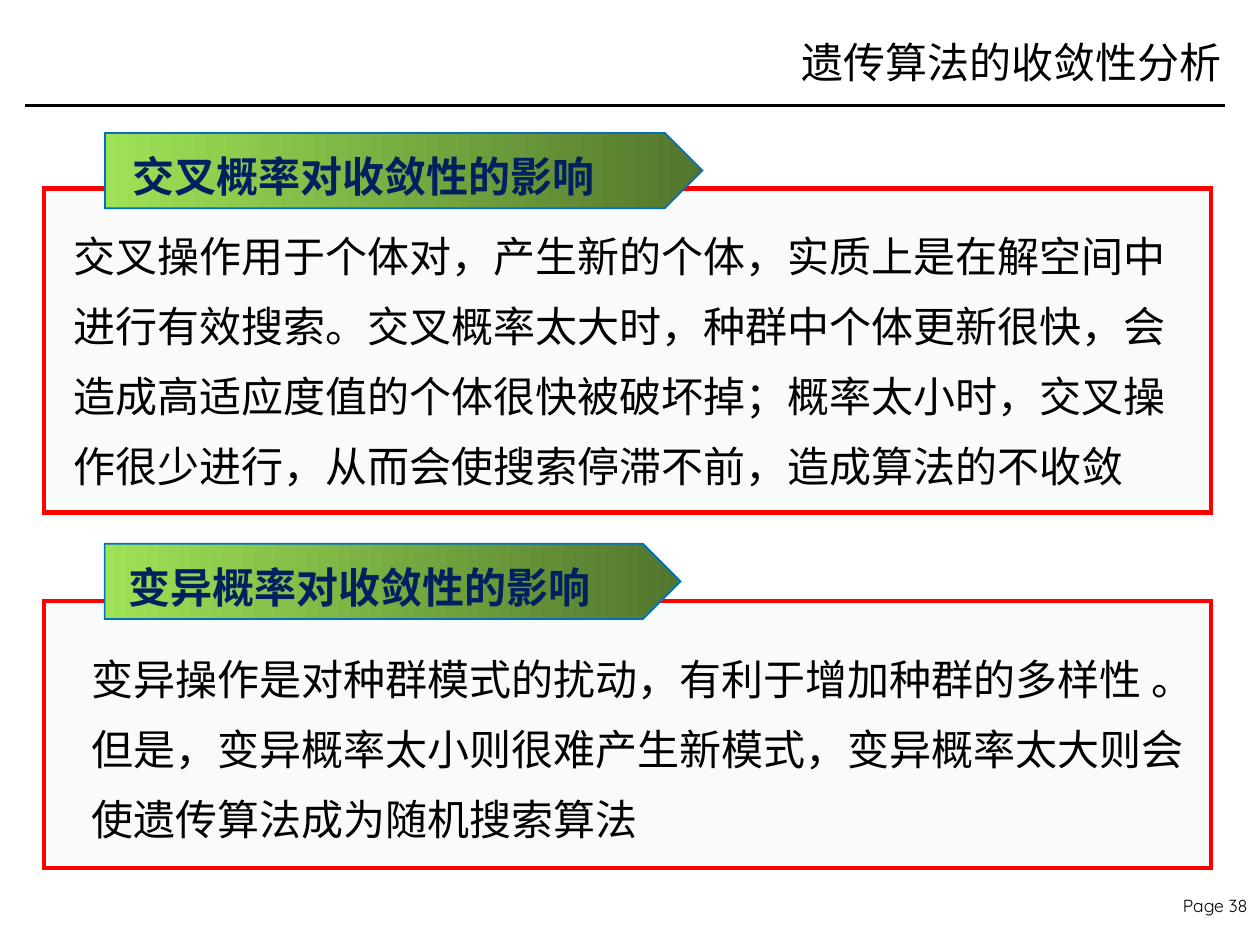
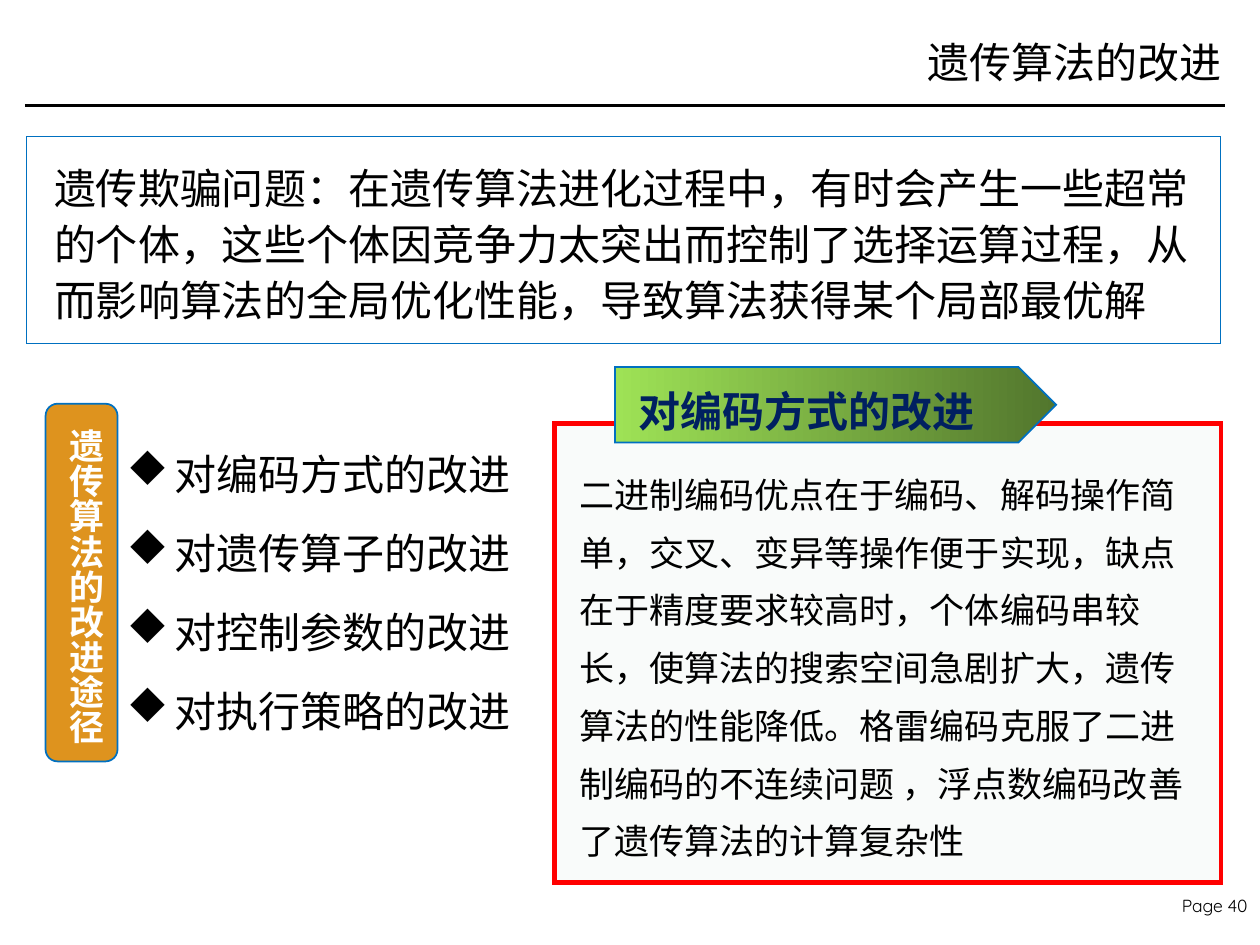
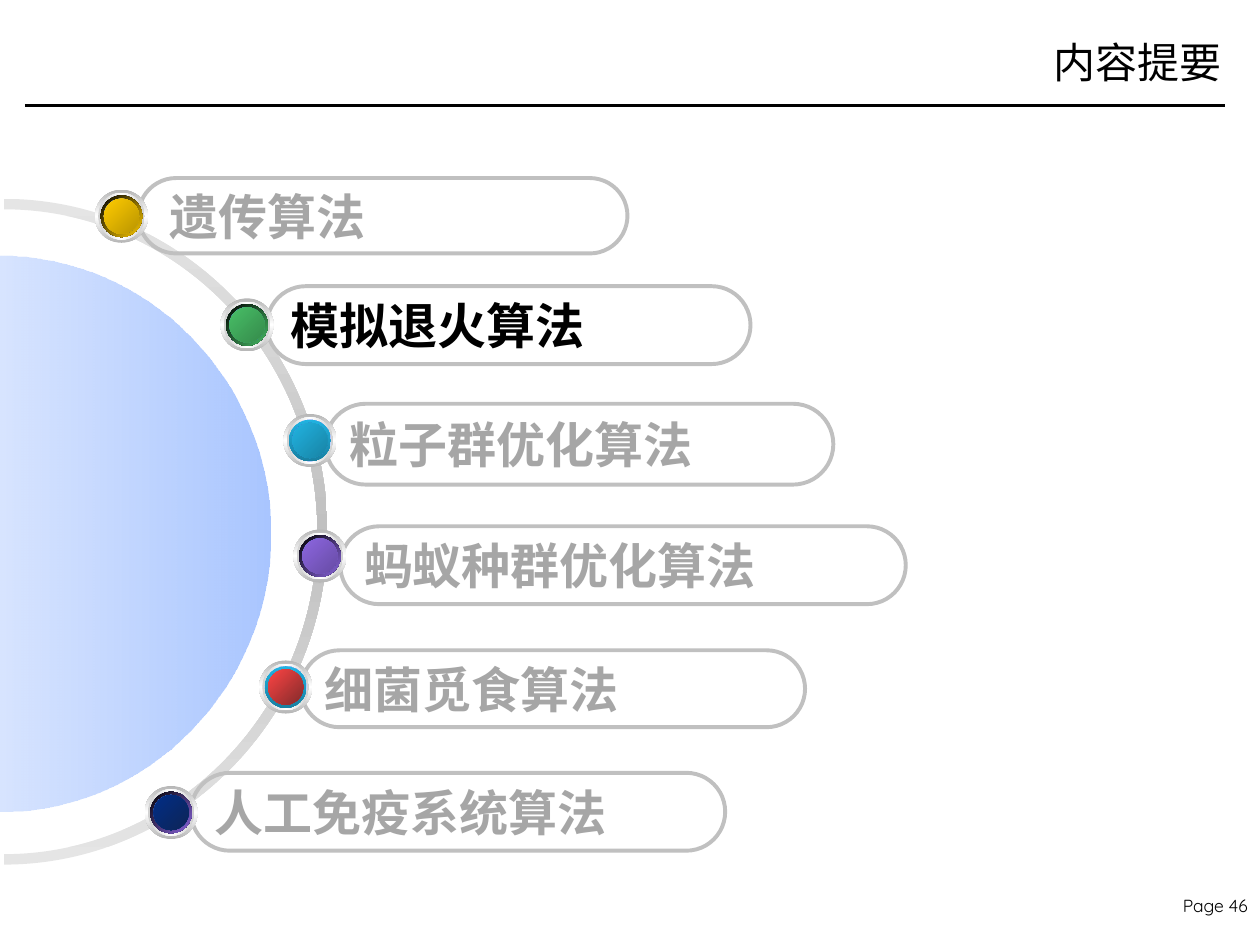
"""Build three slides on genetic algorithms and the topics that follow them."""
from dataclasses import dataclass

from lxml.etree import SubElement
from pptx import Presentation
from pptx.dml.color import RGBColor
from pptx.enum.shapes import MSO_CONNECTOR, MSO_SHAPE as SHAPE
from pptx.enum.text import MSO_ANCHOR as ANCHOR, PP_ALIGN as ALIGN
from pptx.oxml.ns import qn
from pptx.util import Cm, Pt

BLACK, WHITE, RED, BLUE = "000000", "FFFFFF", "FF0000", "0070C0"
NAVY, SILVER, GRAY, PALE, ORANGE = "002060", "C0C0C0", "A6A6A6", "F9FBFA", "DE931E"
SERIF, CJK = "Times New Roman", "Noto Sans CJK SC"
TITLE_RIGHT = 24.87
BEZIER = 0.55
ARC_POINTS = 7


@dataclass(frozen=True)
class Gradient:
    colors: tuple[str, ...]
    angle: int = 0
    alphas: tuple[int, ...] = ()


@dataclass(frozen=True)
class Box:
    left: float
    top: float
    width: float
    height: float

    def lengths(self) -> tuple:
        return Cm(self.left), Cm(self.top), Cm(self.width), Cm(self.height)


@dataclass(frozen=True)
class Panel:
    frame: Box
    banner: Box
    label: Box
    heading: str
    body_box: Box
    body: str
    size: int = 24
    spacing: int = 40


@dataclass(frozen=True)
class Topic:
    name: str
    pill: Box
    dot: tuple[float, float]
    rim: Gradient
    core: tuple[str, str]
    color: str = GRAY
    inset: float = 0.25


BANNER = Gradient(("9EE256", "52762D"))
RING = Gradient(("E5E5E5", SILVER, "E5E5E5"), 90)
DISC = Gradient(("B3CCFF", "6699FF"), 0, (52, 56))
CYAN_RIM = Gradient(("21B3E1", "1880A1"), 90)


def dark_rim(color: str) -> Gradient:
    return Gradient((BLACK, color), 45)


def rgb(color: str) -> RGBColor:
    return RGBColor.from_string(color)


def paint(sp, fill=None, line=None, weight=1.0) -> None:
    """Set a shape's fill (none, colour or gradient) and outline, without shadow."""
    sp.shadow.inherit = False
    if fill is None:
        sp.fill.background()
    elif isinstance(fill, str):
        sp.fill.solid()
        sp.fill.fore_color.rgb = rgb(fill)
    else:
        sp.fill.gradient()
        grad = sp._element.spPr.find(qn("a:gradFill"))
        stops = grad.find(qn("a:gsLst"))
        for old in list(stops):
            stops.remove(old)
        for i, color in enumerate(fill.colors):
            pos = 100000 * i // (len(fill.colors) - 1)
            stop = SubElement(stops, qn("a:gs"), pos=str(pos))
            clr = SubElement(stop, qn("a:srgbClr"), val=color)
            if fill.alphas:
                SubElement(clr, qn("a:alpha"), val=str(fill.alphas[i] * 1000))
        grad.find(qn("a:lin")).set("ang", str(fill.angle * 60000))
    if line is None:
        sp.line.fill.background()
    else:
        sp.line.color.rgb = rgb(line)
        sp.line.width = Pt(weight)
        SubElement(sp._element.spPr.find(qn("a:ln")), qn("a:miter"), lim="800000")


def add_shape(shapes, kind, box: Box, fill=None, line=None, weight=1.0):
    sp = shapes.add_shape(kind, *box.lengths())
    paint(sp, fill, line, weight)
    return sp


def write(tf, text: str, *, size=24, font=SERIF, color=BLACK, bold=False,
          align=ALIGN.LEFT, anchor=ANCHOR.TOP, spacing=None, bullet=None) -> None:
    """Write one paragraph per line of text in the given format."""
    tf.word_wrap = True
    tf.vertical_anchor = anchor
    for i, line in enumerate(text.split("\n")):
        p = tf.paragraphs[0] if i == 0 else tf.add_paragraph()
        p.alignment = align
        pPr = p._p.get_or_add_pPr()
        pPr.set("hangingPunct", "0")
        if spacing:
            p.line_spacing = Pt(spacing)
        if bullet:
            pPr.set("marL", str(Cm(0.95)))
            pPr.set("indent", str(-Cm(0.95)))
            SubElement(pPr, qn("a:buFont"), typeface="Wingdings", charset="2")
            SubElement(pPr, qn("a:buChar"), char=bullet)
        r = p.add_run()
        r.text = line
        r.font.size, r.font.bold, r.font.name = Pt(size), bold, font
        r.font.color.rgb = rgb(color)
        SubElement(r._r.get_or_add_rPr(), qn("a:ea"), typeface=CJK)


def add_text(slide, box: Box, text: str, **fmt):
    tf = slide.shapes.add_textbox(*box.lengths()).text_frame
    write(tf, text, **fmt)
    return tf


def add_slide(prs, title: str, page: int, title_left: float = 10.9):
    """Add a slide with its title, rule and page number."""
    slide = prs.slides.add_slide(prs.slide_layouts[5])
    add_text(slide, Box(23.37, 17.92, 2.03, 0.66), f"Page {page}",
             size=10, font="Quicksand", align=ALIGN.RIGHT)
    rule = slide.shapes.add_connector(MSO_CONNECTOR.STRAIGHT, Cm(0.5), Cm(2.13), Cm(24.7), Cm(2.13))
    rule.line.color.rgb = rgb(BLACK)
    rule.line.width = Pt(2)
    SubElement(rule._element.spPr, qn("a:effectLst"))
    sp = slide.shapes.title
    box = Box(title_left, 0.28, TITLE_RIGHT - title_left, 1.91)
    sp.left, sp.top, sp.width, sp.height = box.lengths()
    write(sp.text_frame, title, align=ALIGN.RIGHT, anchor=ANCHOR.MIDDLE)
    return slide


def add_panel(slide, panel: Panel) -> None:
    """Draw a framed text with a pointed banner over its top edge."""
    add_shape(slide.shapes, SHAPE.RECTANGLE, panel.frame, PALE, RED, 2.5)
    add_shape(slide.shapes, SHAPE.PENTAGON, panel.banner, BANNER, BLUE)
    add_text(slide, panel.label, panel.heading, color=NAVY, bold=True)
    add_text(slide, panel.body_box, panel.body, size=panel.size, spacing=panel.spacing)


def half_ellipse(cx: float, cy: float, rx: float, ry: float) -> list[tuple]:
    """Return the points of two Bezier curves down the right half of an ellipse."""
    unit = ((0, -1), (BEZIER, -1), (1, -BEZIER), (1, 0), (1, BEZIER), (BEZIER, 1), (0, 1))
    return [(Cm(cx + rx * x), Cm(cy + ry * y)) for x, y in unit]


def add_outline(slide, points: list[tuple], fill: Gradient) -> None:
    """Draw a closed outline made of half ellipses joined by straight lines."""
    builder = slide.shapes.build_freeform(*points[0], scale=1.0)
    builder.add_line_segments(points[1:], close=True)
    sp = builder.convert_to_shape()
    lines = list(sp._element.spPr.iter(qn("a:lnTo")))
    for start in range(0, len(points), ARC_POINTS):
        for i in (start, start + 3):
            first, *others = lines[i:i + 3]
            first.tag = qn("a:cubicBezTo")
            for other in others:
                first.append(other[0])
                other.getparent().remove(other)
    paint(sp, fill)


def add_topic(slide, topic: Topic) -> None:
    """Draw a topic's pill and the layered dot in front of it."""
    sp = add_shape(slide.shapes, SHAPE.ROUNDED_RECTANGLE, topic.pill, None, SILVER, 2.25)
    sp.adjustments[0] = 0.5
    sp.text_frame.margin_left = Cm(topic.inset)
    write(sp.text_frame, topic.name, size=28, font="Arial", color=topic.color,
          bold=True, anchor=ANCHOR.MIDDLE)
    layers = (
        (1.07, Gradient(("B6B6B6", WHITE, "B6B6B6"), 90)),
        (0.94, Gradient(("D1D1D1", WHITE, "D1D1D1"))),
        (0.84, Gradient((WHITE, "6699FF", WHITE), 45)),
        (0.84, topic.rim),
        (0.71, Gradient(("4E75C3", "6699FF", "4E75C3"), 315)),
        (0.71, Gradient(topic.core, 45)),
    )
    group = slide.shapes.add_group_shape()
    x, y = topic.dot
    for d, fill in layers:
        add_shape(group.shapes, SHAPE.OVAL, Box(x - d / 2, y - d / 2, d, d), fill)


CONVERGENCE = (
    Panel(Box(0.89, 3.8, 23.52, 6.53), Box(2.12, 2.68, 12.04, 1.52), Box(2.42, 2.9, 10.26, 1.27),
          "交叉概率对收敛性的影响", Box(1.24, 4.13, 23.16, 5.94),
          "交叉操作用于个体对，产生新的个体，实质上是在解空间中进行有效搜索。交叉概率太大时，"
          "种群中个体更新很快，会造成高适应度值的个体很快被破坏掉；概率太小时，交叉操作很少进行，"
          "从而会使搜索停滞不前，造成算法的不收敛"),
    Panel(Box(0.89, 12.12, 23.52, 5.38), Box(2.11, 10.96, 11.61, 1.52), Box(2.35, 11.2, 10.26, 1.27),
          "变异概率对收敛性的影响", Box(1.6, 12.66, 23.16, 4.52),
          "变异操作是对种群模式的扰动，有利于增加种群的多样性 。但是，变异概率太小则很难产生新模式，"
          "变异概率太大则会使遗传算法成为随机搜索算法"),
)
ENCODING = Panel(
    Box(11.18, 8.54, 13.44, 9.25), Box(12.4, 7.4, 8.89, 1.52), Box(12.62, 7.65, 7.42, 1.27),
    "对编码方式的改进", Box(11.43, 9.1, 12.85, 8.48),
    "二进制编码优点在于编码、解码操作简单，交叉、变异等操作便于实现，缺点在于精度要求较高时，"
    "个体编码串较长，使算法的搜索空间急剧扩大，遗传算法的性能降低。格雷编码克服了二进制编码的"
    "不连续问题 ，浮点数编码改善了遗传算法的计算复杂性", 20, 33)
DECEPTION = ("遗传欺骗问题：在遗传算法进化过程中，有时会产生一些超常的个体，这些个体因竞争力太突出"
             "而控制了选择运算过程，从而影响算法的全局优化性能，导致算法获得某个局部最优解")
IMPROVEMENTS = "\n".join(f"对{part}的改进" for part in ("编码方式", "遗传算子", "控制参数", "执行策略"))
TOPICS = (
    Topic("遗传算法", Box(2.79, 3.59, 9.86, 1.52), (2.45, 4.36),
          dark_rim("FFCC00"), ("FFCC00", "BA9500"), inset=0.41),
    Topic("模拟退火算法", Box(5.38, 5.77, 9.75, 1.57), (4.98, 6.55),
          dark_rim("48BE67"), ("48BE67", "358B4B"), BLACK),
    Topic("粒子群优化算法", Box(6.56, 8.14, 10.24, 1.63), (6.25, 8.88),
          CYAN_RIM, ("21B3E1", "1883A4")),
    Topic("蚂蚁种群优化算法", Box(6.86, 10.61, 11.4, 1.57), (6.45, 11.21),
          dark_rim("8D67E1"), ("8D67E1", "674BA4")),
    Topic("细菌觅食算法", Box(6.07, 13.11, 10.16, 1.55), (5.76, 13.85),
          CYAN_RIM, ("FE4444", "832B2B")),
    Topic("人工免疫系统算法", Box(3.85, 15.58, 10.77, 1.57), (3.45, 16.38),
          dark_rim("8D67E1"), ("012D86", "0E2557")),
)


def convergence_slide(prs) -> None:
    slide = add_slide(prs, "遗传算法的收敛性分析", 38)
    for panel in CONVERGENCE:
        add_panel(slide, panel)


def improvement_slide(prs) -> None:
    slide = add_slide(prs, "遗传算法的改进", 40)
    add_shape(slide.shapes, SHAPE.RECTANGLE, Box(0.53, 2.75, 24.08, 4.17), None, BLUE, 0.75)
    add_text(slide, Box(0.84, 3.04, 23.44, 3.68), DECEPTION, spacing=32)
    add_text(slide, Box(2.31, 8.35, 8.76, 6.65), IMPROVEMENTS, spacing=45, bullet="u")
    add_shape(slide.shapes, SHAPE.ROUNDED_RECTANGLE, Box(0.92, 8.14, 1.45, 7.21), ORANGE, BLUE)
    tf = add_text(slide, Box(0.91, 8.4, 1.37, 6.96), "遗传算法的改进途径",
                  size=20, font=CJK, color=WHITE, bold=True)
    tf._txBody.bodyPr.set("vert", "eaVert")
    add_panel(slide, ENCODING)


def contents_slide(prs) -> None:
    slide = add_slide(prs, "内容提要", 46, 18.49)
    outer = half_ellipse(0.08, 10.72, 6.52, 6.71)
    inner = half_ellipse(0.08, 10.72, 6.32, 6.5)
    add_outline(slide, outer + inner[::-1], RING)
    add_outline(slide, half_ellipse(0, 10.76, 5.46, 5.6), DISC)
    for topic in TOPICS:
        add_topic(slide, topic)


def main() -> None:
    prs = Presentation()
    prs.slide_width, prs.slide_height = Cm(25.4), Cm(19.05)
    convergence_slide(prs)
    improvement_slide(prs)
    contents_slide(prs)
    prs.save("out.pptx")


if __name__ == "__main__":
    main()
